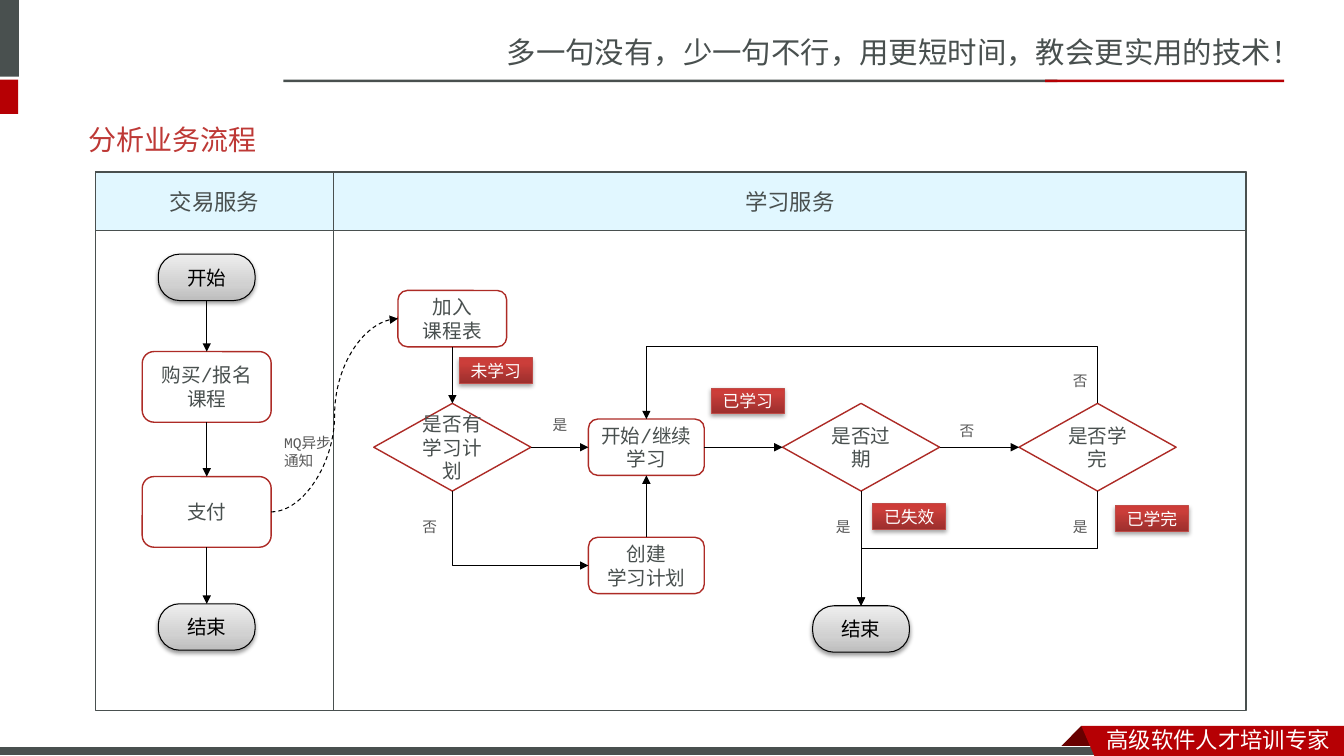
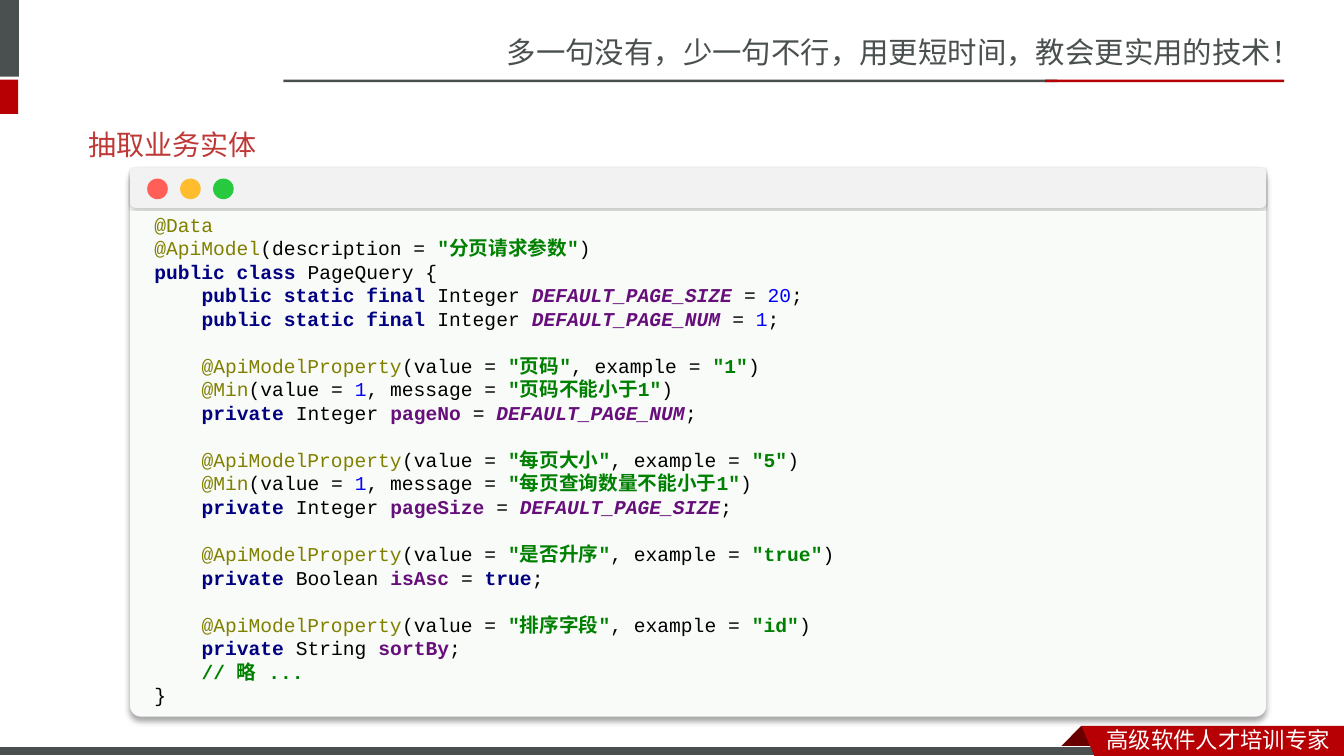
from copy import deepcopy

from lxml.etree import SubElement
from pptx import Presentation
from pptx.dml.color import RGBColor
from pptx.enum.dml import MSO_LINE
from pptx.enum.shapes import MSO_CONNECTOR, MSO_SHAPE
from pptx.enum.text import MSO_ANCHOR, PP_ALIGN
from pptx.oxml.ns import qn
from pptx.util import Cm, Pt

BLACK = RGBColor(0, 0, 0)
WHITE = RGBColor(0xFF, 0xFF, 0xFF)
SLATE = RGBColor(0x49, 0x50, 0x4F)
GREY = RGBColor(0x59, 0x59, 0x59)
RED = RGBColor(0xB6, 0x00, 0x04)
DARK_RED = RGBColor(0x68, 0x00, 0x00)
TITLE_RED = RGBColor(0xBE, 0x39, 0x36)
NODE_RED = RGBColor(0xAD, 0x2B, 0x26)
TAG_RED = RGBColor(0xBF, 0x4C, 0x48)
LANE_BLUE = RGBColor(0xE1, 0xF7, 0xFF)
WINDOW = RGBColor(0xF9, 0xFB, 0xF9)
WINDOW_BAR = RGBColor(0xF2, 0xF2, 0xF2)
DOTS = [RGBColor(0xFF, 0x5F, 0x56), RGBColor(0xFF, 0xBD, 0x2E), RGBColor(0x27, 0xC9, 0x3F)]
PILL_STOPS = [(0, RGBColor(0xBD, 0xBD, 0xBD)), (0.35, RGBColor(0xD1, 0xD1, 0xD1)),
              (1, RGBColor(0xEE, 0xEE, 0xEE))]
TAG_STOPS = [(0, RGBColor(0x9C, 0x2F, 0x2D)), (0.8, RGBColor(0xCB, 0x3E, 0x3A)),
             (1, RGBColor(0xCE, 0x3B, 0x37))]

MONO, TITLE_FONT, CJK = "Courier New", "Lato", "Noto Sans CJK SC"

SLOGAN = "多一句没有，少一句不行，用更短时间，教会更实用的技术！"
FOOTER = "高级软件人才培训专家"
BANDS = [(0, 0, 0.48, 1.93, SLATE), (0, 2.01, 0.46, 0.86, RED),
         (7.14, 2.01, 19.51, 0.06, SLATE), (26.34, 2.01, 6.02, 0.06, RED)]
FOLD = [(27.25, 18.29), (27.81, 18.85), (27.79, 18.87), (26.72, 18.87), (26.7, 18.85)]
RIBBON = [(27.25, 18.29), (33.87, 18.29), (33.87, 19.05), (27.58, 19.05)]

LANE_TOP, LANE_H, LANE_HEAD = 4.34, 13.56, 1.47
LANES = [("学习服务", 8.41, 22.99), ("交易服务", 2.41, 6)]

NODE_KINDS = {
    "pill": (MSO_SHAPE.ROUNDED_RECTANGLE, 2.44, 1.17),
    "task": (MSO_SHAPE.ROUNDED_RECTANGLE, 3.25, 1.78),
    "entry": (MSO_SHAPE.ROUNDED_RECTANGLE, 2.74, 1.42),
    "step": (MSO_SHAPE.ROUNDED_RECTANGLE, 2.92, 1.42),
    "choice": (MSO_SHAPE.DIAMOND, 3.96, 2.21),
}
NODES = {
    "start": ("pill", 5.21, 6.99, ["开始"]),
    "buy": ("task", 5.21, 9.75, ["购买/报名", "课程"]),
    "pay": ("task", 5.21, 12.9, ["支付"]),
    "paid": ("pill", 5.21, 15.8, ["结束"]),
    "enrol": ("entry", 11.4, 8.03, ["加入", "课程表"]),
    "planned": ("choice", 11.4, 11.27, ["是否有", "学习计划"]),
    "study": ("step", 16.29, 11.27, ["开始/继续", "学习"]),
    "create": ("step", 16.29, 14.25, ["创建", "学习计划"]),
    "expired": ("choice", 21.7, 11.27, ["是否过期"]),
    "finished": ("choice", 27.66, 11.27, ["是否学完"]),
    "end": ("pill", 21.7, 15.85, ["结束"]),
}
ARROWS = [
    ("start", "b", "buy", "t"), ("buy", "b", "pay", "t"), ("pay", "b", "paid", "t"),
    ("enrol", "b", "planned", "t"), ("planned", "r", "study", "l"),
    ("create", "t", "study", "b"), ("study", "r", "expired", "l"),
    ("expired", "r", "finished", "l"), ("expired", "b", "end", "t"),
]
SIDES = {"t": (0, -0.5), "b": (0, 0.5), "l": (-0.5, 0), "r": (0.5, 0)}
LOOP_TOP = 8.74
ANSWERS = [("是", 14.11, 10.69), ("否", 10.83, 13.26), ("是", 21.25, 13.26),
           ("是", 27.22, 13.26), ("否", 24.37, 10.85), ("否", 27.22, 9.58)]
TAGS = [("未学习", 11.58, 9.02), ("已学习", 17.93, 9.78),
        ("已失效", 22, 12.7), ("已学完", 28.12, 12.75)]

TOKENS = {
    "plain": (BLACK, False, False),
    "note": (RGBColor(0x80, 0x80, 0x00), False, False),
    "text": (RGBColor(0x00, 0x80, 0x00), True, False),
    "key": (RGBColor(0x00, 0x00, 0x80), True, False),
    "field": (RGBColor(0x66, 0x0E, 0x7A), True, False),
    "const": (RGBColor(0x66, 0x0E, 0x7A), True, True),
    "num": (RGBColor(0x00, 0x00, 0xFF), False, False),
}


def constant(name, value):
    return [("key", "public static final "), ("plain", "Integer "), ("const", name + " "),
            ("plain", "= "), ("num", value), ("plain", ";")]


def api_property(label, example):
    return [("note", "@ApiModelProperty"), ("plain", "(value = "), ("text", f'"{label}"'),
            ("plain", ", example = "), ("text", f'"{example}"'), ("plain", ")")]


def minimum(message):
    return [("note", "@Min"), ("plain", "(value = "), ("num", "1"),
            ("plain", ", message = "), ("text", f'"{message}"'), ("plain", ")")]


def private(kind, name, *value):
    equals = [("field", name + " "), ("plain", "= "), *value] if value else [("field", name)]
    return [("key", "private "), ("plain", kind + " "), *equals, ("plain", ";")]


CODE_BLOCKS = [
    (0, [[("note", "@Data")],
         [("note", "@ApiModel"), ("plain", "(description = "), ("text", '"分页请求参数"'),
          ("plain", ")")],
         [("key", "public class "), ("plain", "PageQuery {")]]),
    (1, [constant("DEFAULT_PAGE_SIZE", "20"), constant("DEFAULT_PAGE_NUM", "1")]),
    (1, [api_property("页码", "1"), minimum("页码不能小于1"),
         private("Integer", "pageNo", ("const", "DEFAULT_PAGE_NUM"))]),
    (1, [api_property("每页大小", "5"), minimum("每页查询数量不能小于1"),
         private("Integer", "pageSize", ("const", "DEFAULT_PAGE_SIZE"))]),
    (1, [api_property("是否升序", "true"), private("Boolean", "isAsc", ("key", "true"))]),
    (1, [api_property("排序字段", "id"), private("String", "sortBy"),
         [("text", "// 略 ...")]]),
    (0, [[("plain", "}")]]),
]
CODE_LEADING, CODE_INDENT = Pt(16.8), Cm(1.19)


def set_font(p, size, color, name):
    p.font.size = Pt(size)
    p.font.color.rgb = color
    p.font.name = name
    SubElement(p.font._element, qn("a:ea"), typeface=name)


def write(sp, lines, size, color, name=MONO, align=PP_ALIGN.CENTER,
          anchor=MSO_ANCHOR.MIDDLE, inset=0.25):
    tf = sp.text_frame
    tf.word_wrap = True
    tf.vertical_anchor = anchor
    tf.margin_left = tf.margin_right = Cm(inset)
    tf.text = "\n".join(lines)
    for p in tf.paragraphs:
        p.alignment = align
        set_font(p, size, color, name)


def add_text(s, box, lines, size, color, **style):
    sp = s.shapes.add_textbox(*map(Cm, box))
    write(sp, lines, size, color, **style)
    return sp


def paint(sp, fill=None, line=None, width=1):
    sp.shadow.inherit = False
    if fill is None:
        sp.fill.background()
    else:
        sp.fill.solid()
        sp.fill.fore_color.rgb = fill
    if line is None:
        sp.line.fill.background()
    else:
        sp.line.color.rgb = line
        sp.line.width = Pt(width)


def add_box(s, shape, x, y, w, h, fill=None, line=None, width=1):
    sp = s.shapes.add_shape(shape, Cm(x), Cm(y), Cm(w), Cm(h))
    paint(sp, fill, line, width)
    return sp


def add_outline(s, points, fill):
    first, *rest = [(Cm(x), Cm(y)) for x, y in points]
    builder = s.shapes.build_freeform(*first)
    builder.add_line_segments(rest)
    paint(builder.convert_to_shape(), fill)


def set_gradient(sp, stops):
    sp.fill.gradient()
    sp.fill.gradient_angle = 90
    gs_list = sp.element.spPr.find(qn("a:gradFill")).find(qn("a:gsLst"))
    gs_list.insert(1, deepcopy(gs_list[0]))
    for stop, (position, color) in zip(sp.fill.gradient_stops, stops):
        stop.position = position
        stop.color.rgb = color


def set_shadow(sp, alpha, blur, dist):
    effects = sp.element.spPr.find(qn("a:effectLst"))
    shadow = SubElement(effects, qn("a:outerShdw"), blurRad=str(Pt(blur)), dist=str(Pt(dist)),
                        dir="5400000", algn="t", rotWithShape="0")
    color = SubElement(shadow, qn("a:srgbClr"), val=str(BLACK))
    SubElement(color, qn("a:alpha"), val=str(alpha * 1000))


def add_arrow(s, start, end, kind=MSO_CONNECTOR.STRAIGHT, turn=0, preset=None, bend=None):
    (x1, y1), (x2, y2) = start, end
    cx, cy = (x1 + x2) / 2, (y1 + y2) / 2
    dx, dy = (x1 - x2) / 2, (y1 - y2) / 2
    dx, dy = {0: (dx, dy), 90: (dy, -dx), 270: (-dy, dx)}[turn]
    c = s.shapes.add_connector(kind, Cm(cx + dx), Cm(cy + dy), Cm(cx - dx), Cm(cy - dy))
    c.line.color.rgb = BLACK
    c.line.width = Pt(0.75)
    sp_pr = c.element.spPr
    SubElement(sp_pr.find(qn("a:ln")), qn("a:tailEnd"), type="triangle")
    SubElement(sp_pr, qn("a:effectLst"))
    if turn:
        sp_pr.find(qn("a:xfrm")).set("rot", str(turn * 60000))
    geom = sp_pr.find(qn("a:prstGeom"))
    if preset:
        geom.set("prst", preset)
    if bend is not None:
        SubElement(geom.find(qn("a:avLst")), qn("a:gd"), name="adj1",
                   fmla=f"val {round(bend * 100000)}")
    return c


def port(name, side):
    kind, cx, cy, _ = NODES[name]
    _, w, h = NODE_KINDS[kind]
    fx, fy = SIDES[side]
    return cx + fx * w, cy + fy * h


def new_slide(prs, title, top):
    s = prs.slides.add_slide(prs.slide_layouts[5])
    for *box, color in BANDS:
        add_box(s, MSO_SHAPE.RECTANGLE, *box, color)
    add_text(s, (12.52, 0.71, 21.35, 1.19), [SLOGAN], 21, SLATE, name=CJK, align=PP_ALIGN.LEFT)
    add_outline(s, FOLD, DARK_RED)
    add_box(s, MSO_SHAPE.RECTANGLE, 0, 18.82, 27.92, 0.23, SLATE, WHITE, 0.75)
    add_outline(s, RIBBON, RED)
    add_text(s, (27.64, 18.16, 6.23, 0.94), [FOOTER], 16, WHITE, name=CJK, align=PP_ALIGN.LEFT)
    sp = s.shapes.title
    sp.left, sp.top, sp.width, sp.height = Cm(1.98), Cm(top), Cm(29.72), Cm(1.45)
    write(sp, [title], 20, TITLE_RED, name=TITLE_FONT, align=PP_ALIGN.LEFT)
    return s


def build_flow(prs):
    s = new_slide(prs, "分析业务流程", 2.79)
    for name, x, w in LANES:
        head = add_box(s, MSO_SHAPE.RECTANGLE, x, LANE_TOP, w, LANE_HEAD, LANE_BLUE, SLATE)
        write(head, [name], 16, SLATE)
        add_box(s, MSO_SHAPE.RECTANGLE, x, LANE_TOP, w, LANE_H, line=SLATE)
    for kind, cx, cy, lines in NODES.values():
        shape, w, h = NODE_KINDS[kind]
        sp = add_box(s, shape, cx - w / 2, cy - h / 2, w, h, WHITE, NODE_RED)
        if kind == "pill":
            sp.adjustments[0] = 0.46
            set_gradient(sp, PILL_STOPS)
            set_shadow(sp, 38, 3.1, 1.6)
            sp.line.color.rgb = BLACK
            sp.line.width = Pt(0.75)
        write(sp, lines, 14, BLACK if kind == "pill" else SLATE, inset=0)
    for source, out, target, into in ARROWS:
        add_arrow(s, port(source, out), port(target, into))
    notice = add_arrow(s, port("pay", "r"), port("enrol", "l"), MSO_CONNECTOR.CURVE)
    notice.line.dash_style = MSO_LINE.DASH
    elbow = MSO_CONNECTOR.ELBOW
    add_arrow(s, port("planned", "b"), port("create", "l"), elbow, 270, "bentConnector2")
    add_arrow(s, port("finished", "b"), port("end", "t"), elbow, 90)
    start, end = port("finished", "t"), port("study", "t")
    add_arrow(s, start, end, elbow, 270, bend=(LOOP_TOP - start[1]) / (end[1] - start[1]))
    for answer, cx, cy in ANSWERS:
        add_text(s, (cx - 0.45, cy - 0.36, 0.9, 0.72), [answer], 10.5, GREY, inset=0)
    add_text(s, (6.91, 10.82, 1.7, 1.14), ["MQ异步", "通知"], 10.5, GREY,
             align=PP_ALIGN.LEFT, anchor=MSO_ANCHOR.TOP)
    for tag, x, y in TAGS:
        sp = add_box(s, MSO_SHAPE.RECTANGLE, x, y, 1.83, 0.64, WHITE, TAG_RED, 0.75)
        set_gradient(sp, TAG_STOPS)
        set_shadow(sp, 35, 3.1, 1.8)
        write(sp, [tag], 12, WHITE, inset=0)


def build_entity(prs):
    s = new_slide(prs, "抽取业务实体", 2.91)
    window = add_box(s, MSO_SHAPE.ROUNDED_RECTANGLE, 3.28, 4.22, 28.63, 13.84, WINDOW)
    window.adjustments[0] = 0.02
    set_shadow(window, 34, 4, 3)
    tf = s.shapes.add_textbox(Cm(3.28), Cm(5.23), Cm(28.35), Cm(12.83)).text_frame
    tf.word_wrap = True
    tf.margin_left = tf.margin_right = Cm(0.61)
    p = tf.paragraphs[0]
    for block, (depth, lines) in enumerate(CODE_BLOCKS):
        for row, tokens in enumerate(lines):
            if block or row:
                p = tf.add_paragraph()
            set_font(p, 14, BLACK, MONO)
            p.line_spacing = CODE_LEADING
            p.space_before = CODE_LEADING if depth and block > 1 and row == 0 else Pt(0)
            p._p.get_or_add_pPr().set("marL", str(depth * CODE_INDENT))
            for kind, text in tokens:
                r = p.add_run()
                r.text = text
                r.font.color.rgb, r.font.bold, r.font.italic = TOKENS[kind]
    bar = add_box(s, MSO_SHAPE.ROUNDED_RECTANGLE, 3.28, 4.22, 28.63, 1.02, WINDOW_BAR)
    bar.adjustments[0] = 0.13
    set_shadow(bar, 20, 1, 1)
    for i, color in enumerate(DOTS):
        add_box(s, MSO_SHAPE.OVAL, 3.71 + i * 0.83, 4.5, 0.52, 0.52, color)


def main():
    prs = Presentation()
    prs.slide_width, prs.slide_height = Cm(33.87), Cm(19.05)
    build_flow(prs)
    build_entity(prs)
    prs.save("out.pptx")


if __name__ == "__main__":
    main()
